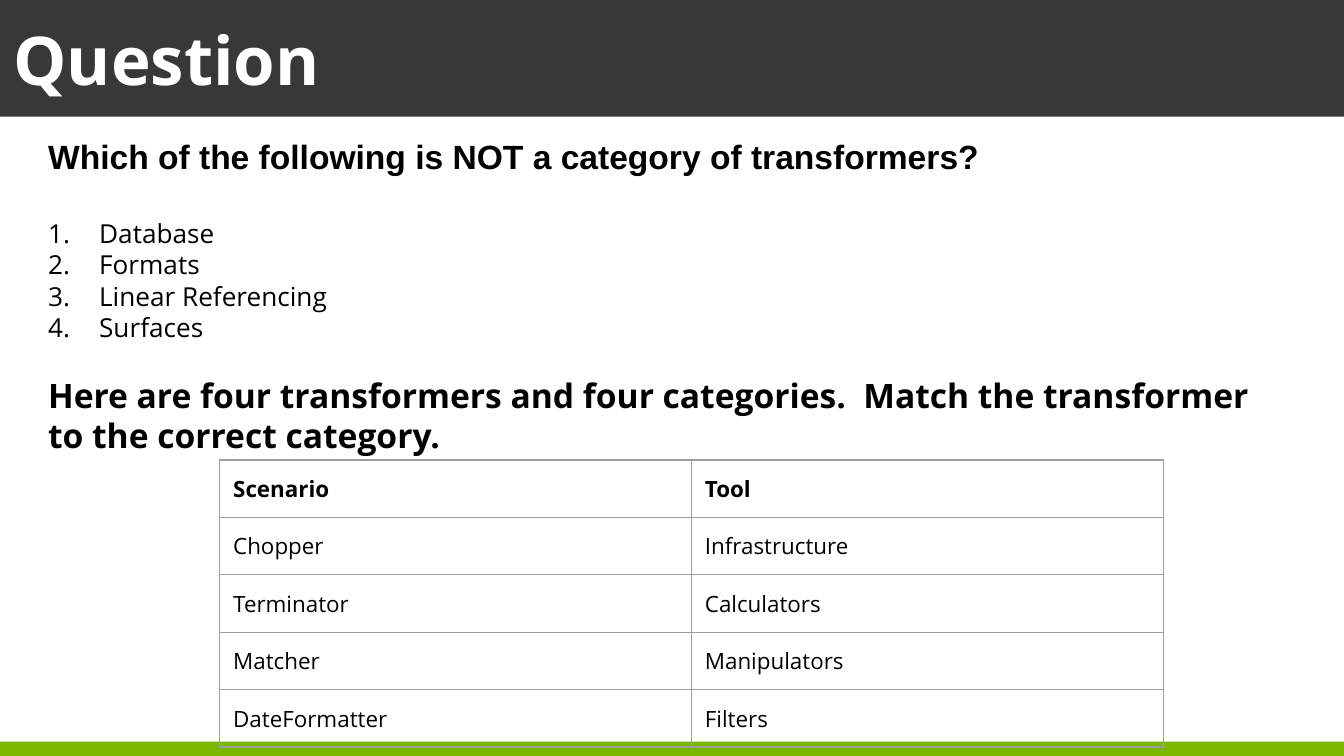
"""Build a quiz slide with a multiple-choice question and a matching table."""
from lxml.etree import SubElement
from pptx import Presentation
from pptx.dml.color import RGBColor as Rgb
from pptx.enum.shapes import MSO_SHAPE as Preset
from pptx.enum.text import MSO_ANCHOR as Anchor, MSO_AUTO_SIZE as AutoSize, PP_ALIGN as Align
from pptx.oxml import parse_xml
from pptx.oxml.ns import nsdecls, qn
from pptx.util import Inches, Pt

THEME = {
    "ink": Rgb.from_string("000000"),
    "paper": Rgb.from_string("FFFFFF"),
    "accent": Rgb.from_string("7AB800"),
    "rule": "9E9E9E",
    "banner_alpha": 78,
    "sans": "Open Sans",
    "prompt_sans": "Arial",
    "heading": Pt(36),
    "prompt": Pt(18),
    "answer": Pt(14),
    "cell": Pt(12),
}

deck = Presentation()
deck.slide_width, deck.slide_height = Inches(10), Inches(10 * 9 / 16)
slide = deck.slides.add_slide(deck.slide_layouts[1])
heading, questions = slide.placeholders


def area(left, top, width, height):
    """Turn percentages of the slide into lengths."""
    across, down = deck.slide_width / 100, deck.slide_height / 100
    return [int(share) for share in (left * across, top * down, width * across, height * down)]


def write(paragraph, text, **format_values):
    """Fill a paragraph with one formatted run."""
    run = paragraph.add_run()
    run.text = text
    run.font.color.rgb = format_values.pop("color", THEME["ink"])
    for name, value in ({"name": THEME["sans"], "bold": False} | format_values).items():
        setattr(run.font, name, value)


placements = (
    (heading, area(0, 0, 100, 15.45), Anchor.MIDDLE),
    (questions, area(2.58, 17.07, 93.4, 44.27), Anchor.TOP),
)
for holder, box, anchor in placements:
    for name, value in zip(("left", "top", "width", "height"), box):
        setattr(holder, name, value)
    frame_format = {
        "word_wrap": True,
        "auto_size": AutoSize.NONE,
        "vertical_anchor": anchor,
        "margin_left": Inches(0.1),
        "margin_right": Inches(0.1),
        "margin_top": Inches(0.05),
        "margin_bottom": Inches(0.05),
    }
    for name, value in frame_format.items():
        setattr(holder.text_frame, name, value)

heading.fill.solid()
heading.fill.fore_color.rgb = THEME["ink"]
banner_color = next(heading.element.spPr.iter(qn("a:srgbClr")))
SubElement(banner_color, qn("a:alpha"), val=str(THEME["banner_alpha"] * 1000))
title = heading.text_frame.paragraphs[0]
title.alignment = Align.LEFT
write(title, "Question", size=THEME["heading"], bold=True, color=THEME["paper"])

prompt = {"size": THEME["prompt"], "bold": True}
answer = {"size": THEME["answer"]}
lines = (
    ("Which of the following is NOT a category of transformers?", 0, False,
     prompt | {"name": THEME["prompt_sans"]}),
    ("Database", 22, True, answer),
    ("Formats", 0, True, answer),
    ("Linear Referencing", 0, True, answer),
    ("Surfaces", 0, True, answer),
    ("Here are four transformers and four categories.  Match the transformer to the correct category.",
     17, False, prompt),
)
for index, (text, gap, numbered, style) in enumerate(lines):
    paragraph = questions.text_frame.add_paragraph() if index else questions.text_frame.paragraphs[0]
    for name, value in {"line_spacing": 1.0, "space_before": Pt(gap), "space_after": Pt(0)}.items():
        setattr(paragraph, name, value)
    properties = paragraph._p.get_or_add_pPr()
    indent = Inches(0.38) if numbered else 0
    properties.set("marL", str(indent))
    properties.set("indent", str(-indent))
    if numbered:
        SubElement(properties, qn("a:buFont"), typeface=THEME["sans"])
        SubElement(properties, qn("a:buAutoNum"), type="arabicPeriod")
    else:
        SubElement(properties, qn("a:buNone"))
    write(paragraph, text, **style)

footer = slide.shapes.add_shape(Preset.RECTANGLE, *area(0, 98.1, 100, 1.9))
footer.shadow.inherit = False
footer.fill.solid()
footer.fill.fore_color.rgb = THEME["accent"]
footer.line.fill.background()

matches = (
    ("Scenario", "Tool"),
    ("Chopper", "Infrastructure"),
    ("Terminator", "Calculators"),
    ("Matcher", "Manipulators"),
    ("DateFormatter", "Filters"),
)
table = slide.shapes.add_table(len(matches), 2, *area(16.35, 60.85, 70.2, 35.6)).table
for row, pair in enumerate(matches):
    for column, text in enumerate(pair):
        cell = table.cell(row, column)
        cell.fill.background()
        for side in ("left", "top", "right", "bottom"):
            setattr(cell, f"margin_{side}", Inches(0.1))
        for position, edge in enumerate("LRTB"):
            border = parse_xml(
                f'<a:ln{edge} {nsdecls("a")} w="{Pt(0.75)}"><a:solidFill>'
                f'<a:srgbClr val="{THEME["rule"]}"/></a:solidFill></a:ln{edge}>')
            cell._tc.get_or_add_tcPr().insert(position, border)
        write(cell.text_frame.paragraphs[0], text, size=THEME["cell"], bold=row == 0)

deck.save("out.pptx")
